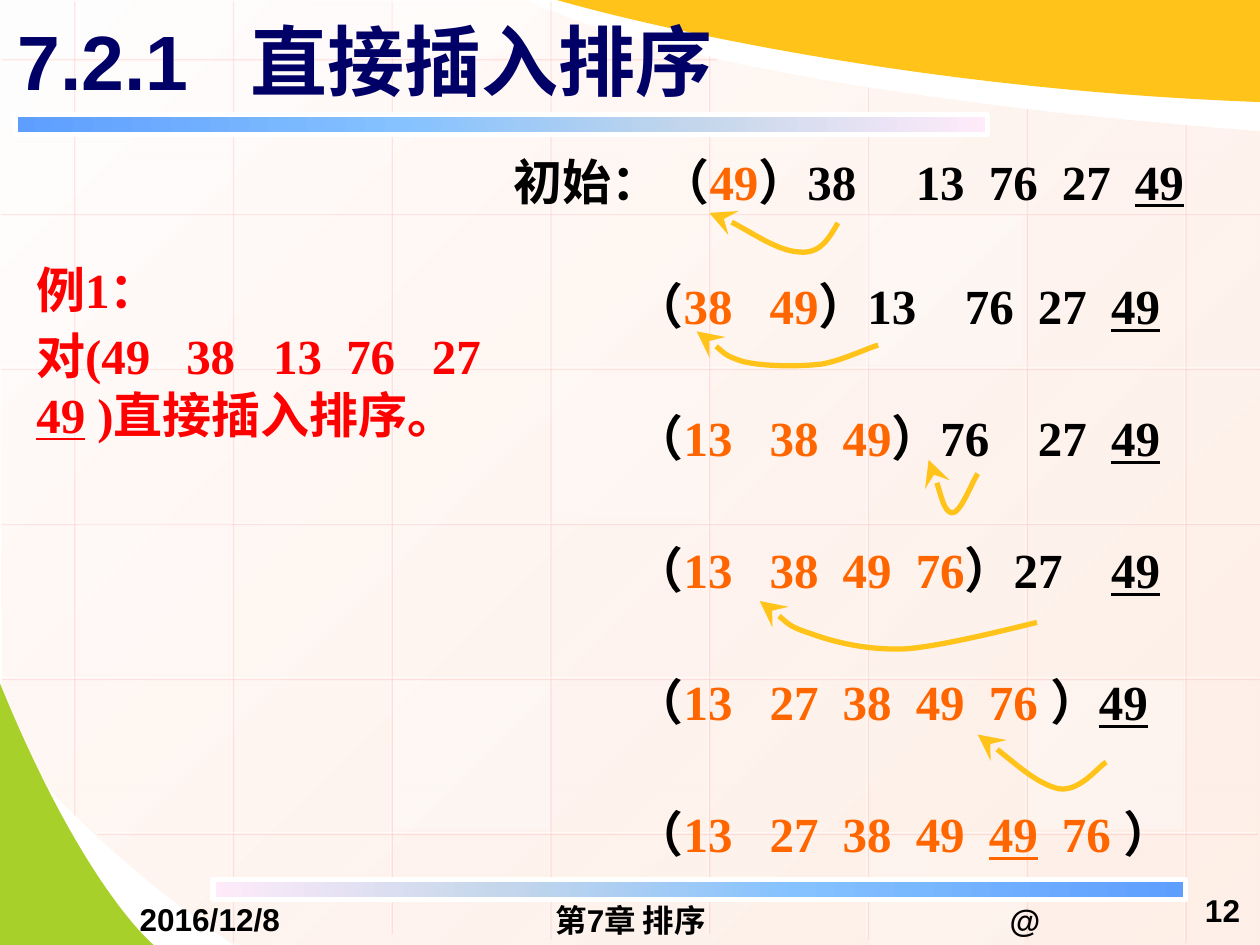
from lxml import etree
from pptx import Presentation
from pptx.dml.color import RGBColor
from pptx.enum.shapes import MSO_CONNECTOR, MSO_SHAPE
from pptx.enum.text import MSO_ANCHOR, PP_ALIGN
from pptx.oxml import parse_xml
from pptx.oxml.ns import nsdecls, qn
from pptx.util import Inches, Pt

HUES = {"white": "FFFFFF", "black": "000000", "navy": "000066", "red": "FF0000",
        "orange": "FF6600", "gold": "FFC319", "green": "A8D02A", "pink": "FF7575"}
RGB = {name: RGBColor.from_string(hue) for name, hue in HUES.items()}

deck = Presentation()
deck.slide_width, deck.slide_height = Inches(10), Inches(7.5)
slide = deck.slides.add_slide(deck.slide_layouts[6])
shapes = slide.shapes


def trace(start, legs, hue, closed=True):
    """Draw an outline; a leg is one point (straight) or three (cubic curve)."""
    pen = shapes.build_freeform(Inches(start[0]), Inches(start[1]), 1.0)
    pen.add_line_segments([(Inches(x), Inches(y)) for leg in legs for x, y in leg],
                          close=closed)
    shape = pen.convert_to_shape()
    lines = iter(list(shape._element.spPr.iter(qn("a:lnTo"))))
    for leg in legs:
        group = [next(lines) for _ in leg]
        if len(group) == 3:
            curve = etree.Element(qn("a:cubicBezTo"))
            group[0].addprevious(curve)
            for line in group:
                curve.append(line[0])
                line.getparent().remove(line)
    shape.shadow.inherit = False
    if closed:
        shape.fill.solid()
        shape.fill.fore_color.rgb = RGB[hue]
        shape.line.fill.background()
    else:
        shape.fill.background()
        shape.line.color.rgb = RGB[hue]
        shape.line.width = Pt(3)
    return shape


def write(rect, paras, style, align=PP_ALIGN.LEFT, anchor=MSO_ANCHOR.MIDDLE, pad=0.0):
    """Add a text box; a paragraph is (runs, tab stops, space before)."""
    frame = shapes.add_textbox(*map(Inches, rect)).text_frame
    form = {"word_wrap": True, "vertical_anchor": anchor, "margin_top": Inches(pad),
            "margin_bottom": Inches(pad)}
    for key, value in form.items():
        setattr(frame, key, value)
    for index, (runs, stops, gap) in enumerate(paras):
        para = frame.add_paragraph() if index else frame.paragraphs[0]
        if stops:
            tabs = etree.SubElement(para._p.get_or_add_pPr(), qn("a:tabLst"))
            for stop in stops:
                etree.SubElement(tabs, qn("a:tab"), pos=str(Inches(stop)), algn="l")
        para.alignment = align
        if gap:
            para.space_before = Pt(gap)
        for text, hue, under in runs:
            run = para.add_run()
            run.text = text
            for key, value in {**style, "bold": True, "underline": under}.items():
                setattr(run.font, key, value)
            run.font.color.rgb = RGB[hue]


# Backdrop and green corner
back = trace((10.01, 1.04), [[(10.01, 4.27), (10.01, 7.49), (10.01, 7.49)], [(1.87, 7.5)],
                             [(0.55, 6.6), (0.01, 5.8), (0.02, 5.8)], [(-0.01, -0.01)],
                             [(4.21, 0.01)], [(4.21, 0.01), (5.37, 0.69), (10.01, 1.04)]],
             "white")
trace((-0.01, 5.4), [[(-0.01, 6.45), (-0.01, 7.5), (-0.01, 7.5)], [(1.22, 7.5)],
                     [(1.22, 7.5), (0.66, 7.05), (-0.01, 5.4)]], "green")

# Grid lines
tops = [0, 0, 0, 0, 0.43, 0.68, 0.85, 0.98]
feet = [6.46, 7.47, 7.4, 7.44, 7.4, 7.44, 7.44, 7.47]
grid = [(0.58 + 1.26 * i, top, 0.58 + 1.26 * i, foot)
        for i, (top, foot) in enumerate(zip(tops, feet))]
spans = [(0, 5.68), (0, 10), (0, 10), (0, 10), (0, 10), (0.76, 9.97)]
grid += [(right, 0.46 + 1.23 * i, left, 0.46 + 1.23 * i)
         for i, (left, right) in enumerate(spans)]
for ends in grid:
    rule = shapes.add_connector(MSO_CONNECTOR.STRAIGHT, *map(Inches, ends))
    rule.line.color.rgb = RGB["white"]
    rule.line.width = Pt(0.75)
    tint = rule._element.spPr.find(".//" + qn("a:srgbClr"))
    etree.SubElement(tint, qn("a:alpha"), val="50000")
    rule._element.spPr.append(parse_xml(
        f'<a:effectLst {nsdecls("a")}><a:outerShdw dist="{Pt(1.4)}" dir="2700000">'
        f'<a:srgbClr val="{HUES["pink"]}"><a:alpha val="33000"/></a:srgbClr>'
        '</a:outerShdw></a:effectLst>'))

# Pale tiles: left, top, height, opacity
tiles = [(4.38, 2.94, 1.18, 25), (8.16, 5.4, 1.18, 30), (0.6, 4.16, 1.18, 20),
         (6.9, 6.63, 0.87, 20), (3.11, 0, 0.44, 40), (3.12, 5.4, 1.18, 30),
         (6.89, 1.71, 1.18, 30)]
for left, top, height, alpha in tiles:
    tile = shapes.add_shape(MSO_SHAPE.RECTANGLE, *map(Inches, (left, top, 1.23, height)))
    tile.shadow.inherit = False
    tile.fill.solid()
    tile.fill.fore_color.rgb = RGB["white"]
    tile.line.fill.background()
    tint = tile._element.spPr.find(".//" + qn("a:srgbClr"))
    etree.SubElement(tint, qn("a:alpha"), val=str(alpha * 1000))

trace((10, 0.81), [[(10, 0.4), (10, 0), (10, 0)], [(4.42, 0)],
                   [(4.42, 0), (6.74, 0.69), (10, 0.81)]], "gold")

# Gradient bars and backdrop blend: position, colour, opacity
bars = []
for left, top in [(0.12, 0.91), (1.69, 6.98)]:
    bar = shapes.add_shape(MSO_SHAPE.RECTANGLE, *map(Inches, (left, top, 7.72, 0.16)))
    bar.shadow.inherit = False
    bar.line.color.rgb = RGB["white"]
    bar.line.width = Pt(3)
    bars.append(bar)
blue = [(0, "5E9EFF", 100), (40, "85C2FF", 100), (70, "C4D6EB", 100), (100, "FFEBFA", 100)]
flip = [(100 - at, hue, alpha) for at, hue, alpha in reversed(blue)]
blend = [(0, "FFFEFE", 100), (100, "FEE9DE", 70)]
for shape, stops, angle in [(back, blend, 315), (bars[0], blue, 0), (bars[1], flip, 0)]:
    shape.fill.gradient()
    shape.fill.gradient_angle = angle
    ramp = shape._element.spPr.find(".//" + qn("a:gsLst"))
    for stop in list(ramp):
        ramp.remove(stop)
    for at, hue, alpha in stops:
        stop = etree.SubElement(ramp, qn("a:gs"), pos=str(at * 1000))
        tint = etree.SubElement(stop, qn("a:srgbClr"), val=hue)
        if alpha < 100:
            etree.SubElement(tint, qn("a:alpha"), val=str(alpha * 1000))

# Title and footer
write((0.04, -0.03, 9, 1.01), [([("7.2.1\t直接插入排序", "navy", False)], [1.85], 0)],
      {"name": "Arial", "size": Pt(44)}, pad=0.05)
small = {"name": "Arial", "size": Pt(18)}
for text, rect, align in [("@", (6.97, 7.15, 2.33, 0.3), PP_ALIGN.CENTER),
                          ("2016/12/8", (0.5, 7.14, 2.33, 0.3), PP_ALIGN.CENTER),
                          ("第7章 排序", (3.42, 7.15, 3.17, 0.3), PP_ALIGN.CENTER),
                          ("12", (9.28, 6.98, 0.66, 0.49), PP_ALIGN.RIGHT)]:
    write(rect, [([(text, "black", False)], [], 0)], small, align)

# Sorting passes: numbers (* marks the second 49), sorted ones first
passes = ["49 38 13 76 27 49*", "38 49 13 76 27 49*", "13 38 49 76 27 49*",
          "13 38 49 76 27 49*", "13 27 38 49 76 49*", "13 27 38 49 49* 76"]
gaps = [0, 37.7, 41.8, 41.8, 41.8, 41.8]
rows = []
for done, (line, gap) in enumerate(zip(passes, gaps), 1):
    first = done == 1
    runs = [("初始：（" if first else "\t（", "black", False)]
    base = 1.64 if first else 1.45
    stops = [] if first else [0.96]
    close = (" ）" if done > 4 else "）", "black", False)
    for i, num in enumerate(line.split()):
        hue = "orange" if i < done else "black"
        if i == done:
            runs.append(close)
        elif i:
            runs.append(("\t", hue, False))
            stops.append(base + 0.58 * i + (0.39 if i > done else 0))
        runs.append((num.strip("*"), hue, "*" in num))
    if done == 6:
        runs.append(close)
    rows.append((runs, stops, gap))
serif = {"name": "Times New Roman", "size": Pt(28)}
write((3.98, 1.2, 5.67, 5.9), rows, serif, anchor=MSO_ANCHOR.TOP)

# Insertion arrows
moves = [
    ((6.65, 1.77), [[(6.58, 1.89), (6.51, 2.02), (6.34, 2)],
                    [(6.17, 1.99), (5.7, 1.68), (5.63, 1.69)]]),
    ((6.97, 2.74), [[(6.89, 2.76), (6.69, 2.86), (6.52, 2.89)],
                    [(6.34, 2.91), (6.07, 2.91), (5.9, 2.87)],
                    [(5.74, 2.82), (5.61, 2.68), (5.53, 2.63)]]),
    ((7.76, 3.76), [[(7.72, 3.81), (7.62, 4.09), (7.55, 4.07)],
                    [(7.49, 4.05), (7.41, 3.73), (7.37, 3.65)]]),
    ((8.23, 4.94), [[(8.06, 4.98), (7.48, 5.13), (7.18, 5.15)],
                    [(6.89, 5.16), (6.63, 5.1), (6.44, 5.03)],
                    [(6.25, 4.97), (6.12, 4.83), (6.03, 4.77)]]),
    ((8.78, 6.05), [[(8.72, 6.08), (8.57, 6.29), (8.4, 6.26)],
                    [(8.23, 6.22), (7.89, 5.92), (7.76, 5.83)]]),
]
for start, legs in moves:
    arrow = trace(start, legs, "gold", closed=False)
    etree.SubElement(arrow._element.spPr.find(qn("a:ln")), qn("a:tailEnd"),
                     type="stealth", w="lg", len="lg")

# Example
task = [("对(49\t38\t13\t76\t27 ", "red", False), ("49", "red", True),
        (" )直接插入排序。", "red", False)]
write((0.19, 2.01, 4.1, 1.59), [([("例1：", "red", False)], [], 0),
                                (task, [1.19, 1.88, 2.46, 3.14], 4.2)],
      serif, anchor=MSO_ANCHOR.TOP, pad=0.05)

deck.save("out.pptx")
